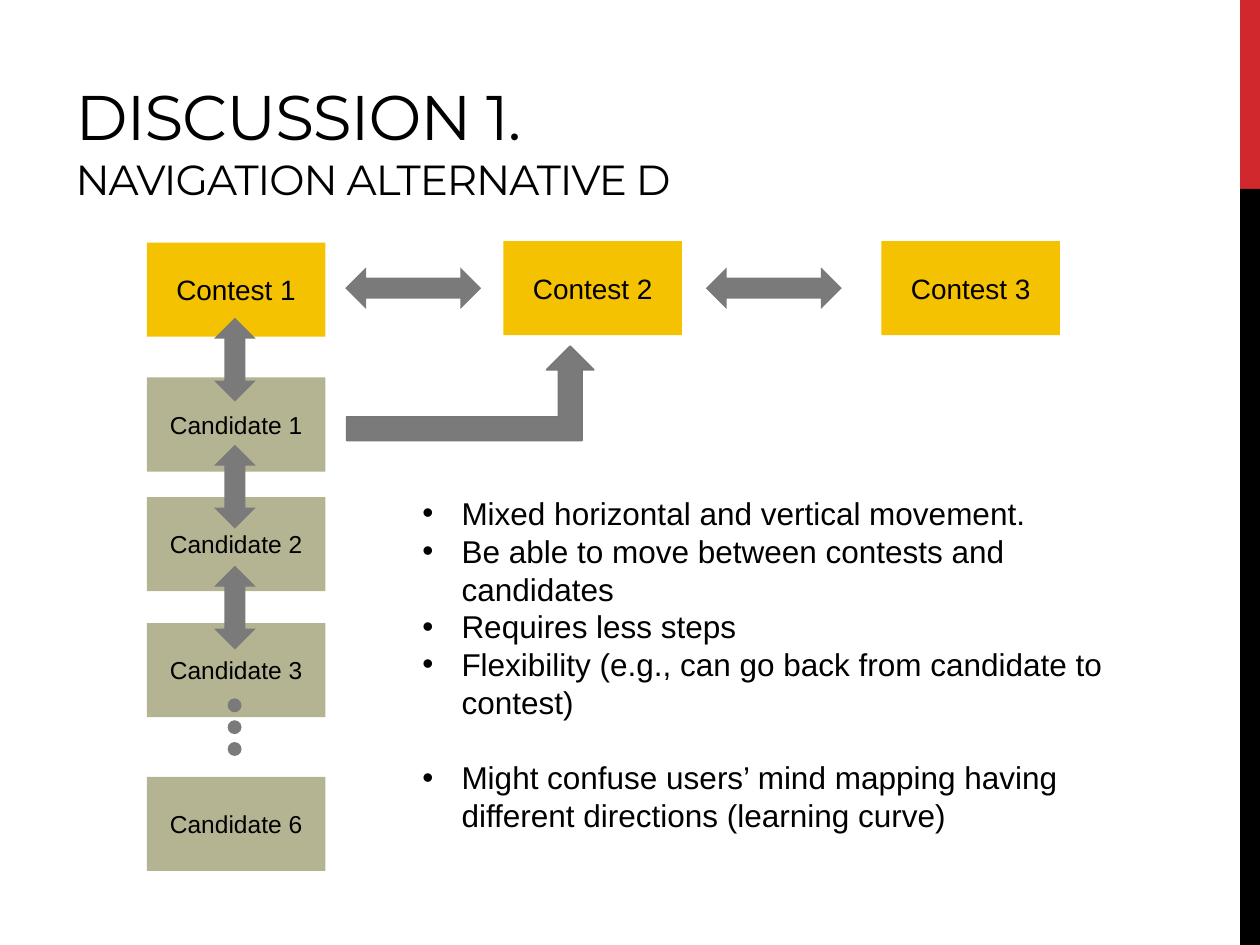
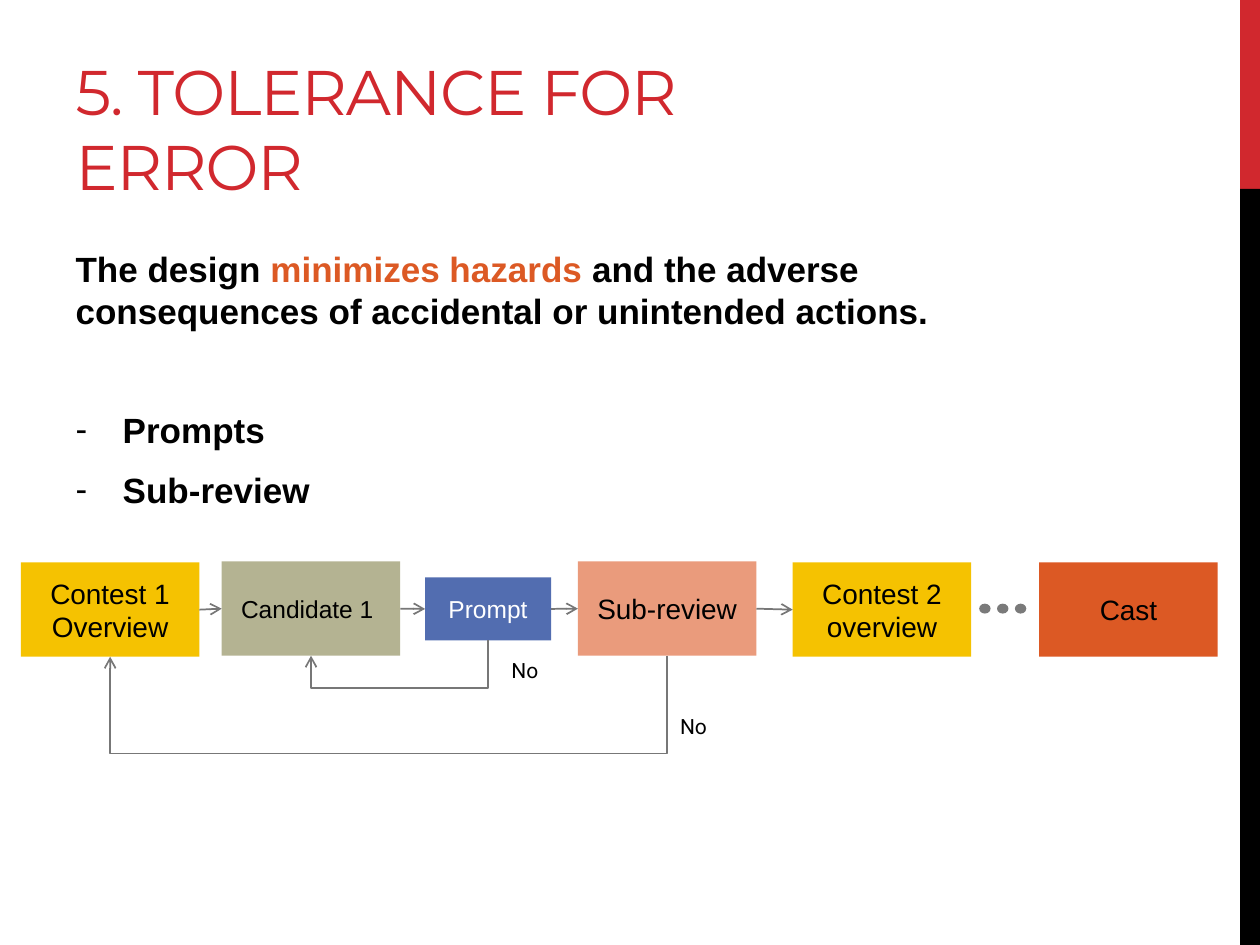
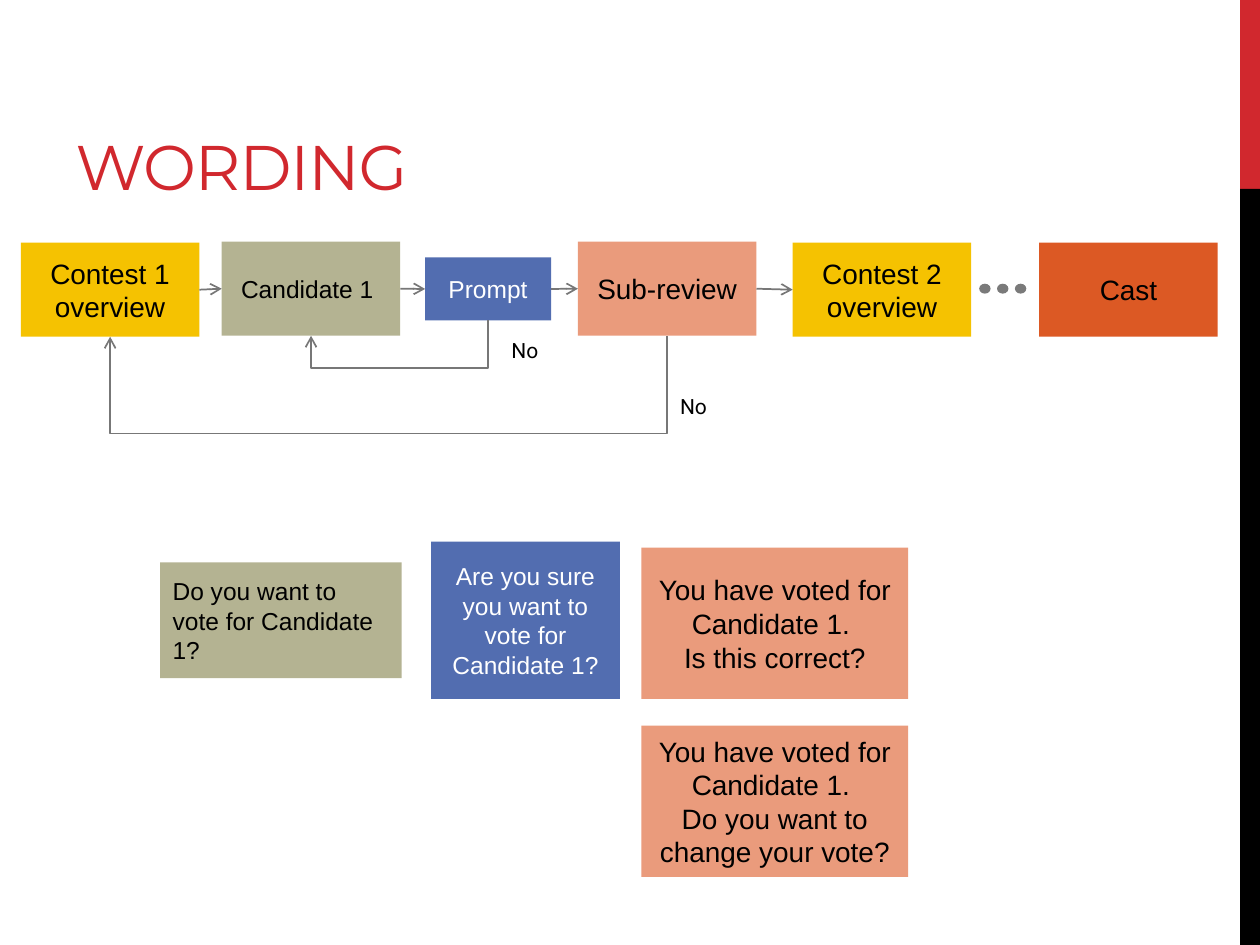
from lxml.etree import SubElement
from pptx import Presentation
from pptx.dml.color import RGBColor
from pptx.enum.shapes import MSO_CONNECTOR, MSO_SHAPE
from pptx.enum.text import MSO_ANCHOR, MSO_AUTO_SIZE, PP_ALIGN
from pptx.oxml.ns import qn
from pptx.util import Cm, Pt

COLORS = {
    "red": "D1282E",
    "black": "000000",
    "white": "FFFFFF",
    "contest": "F5C201",
    "candidate": "B4B392",
    "prompt": "526DB0",
    "review": "EA9B7C",
    "cast": "DC5924",
    "arrow": "7A7A7A",
    "line": "777777",
}
BOX_WIDTH, BOX_HEIGHT = 3.6, 1.9
LAYOUT_CONTENT, LAYOUT_TITLE = 1, 5


def color(name):
    return RGBColor.from_string(COLORS[name])


def style_font(font, size, name="Arial", ink="black", bold=False):
    font.name = name
    font.size = Pt(size)
    font.bold = bold
    font.color.rgb = color(ink)


def add_solid(page, kind, left, top, width, height, fill):
    shape = page.shapes.add_shape(kind, Cm(left), Cm(top), Cm(width), Cm(height))
    shape.shadow.inherit = False
    shape.fill.solid()
    shape.fill.fore_color.rgb = color(fill)
    shape.line.fill.background()
    return shape


def add_box(page, text, left, top, fill, width=BOX_WIDTH, height=BOX_HEIGHT,
            size=16, ink="black", align=PP_ALIGN.CENTER, inset=0.25):
    box = add_solid(page, MSO_SHAPE.RECTANGLE, left, top, width, height, fill)
    frame = box.text_frame
    frame.word_wrap = True
    frame.vertical_anchor = MSO_ANCHOR.MIDDLE
    frame.margin_left = Cm(inset)
    frame.text = text
    for para in frame.paragraphs:
        para.alignment = align
        style_font(para.font, size, ink=ink)
    return box


def add_dots(page, left, top, width, height, step_x=0, step_y=0):
    for index in range(3):
        add_solid(page, MSO_SHAPE.OVAL, left + index * step_x, top + index * step_y,
                  width, height, "arrow")


def add_double_arrow(page, left, top, width, rotation=0):
    arrow = add_solid(page, MSO_SHAPE.LEFT_RIGHT_ARROW, left, top, width, 0.84, "arrow")
    arrow.rotation = rotation


def finish_arrow(connector):
    connector.line.color.rgb = color("line")
    connector.line.width = Pt(1)
    properties = connector._element.spPr
    SubElement(properties.find(qn("a:ln")), qn("a:tailEnd"), type="arrow")
    SubElement(properties, qn("a:effectLst"))


def link_boxes(page, source, target):
    connector = page.shapes.add_connector(MSO_CONNECTOR.STRAIGHT, 0, 0, 0, 0)
    connector.begin_connect(source, 3)
    connector.end_connect(target, 1)
    finish_arrow(connector)


def add_return_arrow(page, start, end, turn):
    drop, reach = end[1] - start[1], start[0] - end[0]
    center_x, center_y = (start[0] + end[0]) / 2, (start[1] + end[1]) / 2
    left, top = center_x - drop / 2, center_y - reach / 2
    connector = page.shapes.add_connector(
        MSO_CONNECTOR.ELBOW, Cm(left), Cm(top), Cm(left + drop), Cm(top + reach))
    properties = connector._element.spPr
    properties.find(qn("a:xfrm")).set("rot", "5400000")
    guides = properties.find(qn("a:prstGeom")).get_or_add_avLst()
    bend = round((turn - start[1]) / drop * 100000)
    SubElement(guides, qn("a:gd"), name="adj1", fmla=f"val {bend}")
    finish_arrow(connector)


def add_label(page, text, left, top):
    label = page.shapes.add_textbox(Cm(left), Cm(top), Cm(1.07), Cm(0.76))
    label.text_frame.word_wrap = False
    para = label.text_frame.paragraphs[0]
    para.text = text
    style_font(para.font, 12, name="Roboto")


def add_master_bands(deck, page):
    tree = deck.slide_master.shapes.element
    for index, (top, height, fill) in enumerate([(0, 3.81, "red"), (3.81, 15.24, "black")]):
        band = add_solid(page, MSO_SHAPE.RECTANGLE, 25, top, 0.4, height, fill)
        band._element.nvSpPr.cNvPr.set("id", str(101 + index))
        tree.append(band._element)


def place_frame(holder, left, top, width, height, anchor):
    holder.left, holder.top = Cm(left), Cm(top)
    holder.width, holder.height = Cm(width), Cm(height)
    frame = holder.text_frame
    frame.word_wrap = True
    frame.auto_size = MSO_AUTO_SIZE.NONE
    frame.vertical_anchor = anchor
    return frame


def set_title(page, title, subtitle=None, ink="red"):
    frame = place_frame(page.shapes.title, 1.27, 0.42, 16.09, 3.81, MSO_ANCHOR.BOTTOM)
    para = frame.paragraphs[0]
    para.alignment = PP_ALIGN.LEFT
    style_font(para.font, 36, name="Montserrat", ink=ink)
    spans = [(title, 36)]
    if subtitle:
        spans.append((subtitle, 24))
    for index, (text, size) in enumerate(spans):
        if index:
            para.add_line_break()
        span = para.add_run()
        span.text = text
        span.font.size = Pt(size)
        span._r.get_or_add_rPr().set("spc", "-60")


def add_paragraph(frame, spans, size, bullet=None, indent=0, before=0, after=0, bold=False):
    para = frame.paragraphs[0]
    if para.runs:
        para = frame.add_paragraph()
    properties = para._p.get_or_add_pPr()
    properties.set("marL", str(Cm(indent)))
    properties.set("indent", str(-Cm(indent)))
    if bullet:
        SubElement(properties, qn("a:buFont"), typeface="Arial")
        SubElement(properties, qn("a:buChar"), char=bullet)
    else:
        SubElement(properties, qn("a:buNone"))
    para.space_before = Pt(before)
    para.space_after = Pt(after)
    style_font(para.font, size, bold=bold)
    for text, ink in spans:
        span = para.add_run()
        span.text = text
        if ink:
            span.font.color.rgb = color(ink)


def add_navigation(page, left, top):
    for number, (x, y) in enumerate([(0, 0.03), (7.19, 0), (14.81, 0)], 1):
        add_box(page, f"Contest {number}", left + x, top + y, "contest")
    for number, y in [(1, 2.75), (2, 5.16), (3, 7.7), (6, 10.8)]:
        add_box(page, f"Candidate {number}", left, top + y, "candidate", size=14)
    for x in (4, 11.27):
        add_double_arrow(page, left + x, top + 0.53, 2.74)
    for y in (1.97, 4.53, 6.97):
        add_double_arrow(page, left + 0.93, top + y, 1.69, rotation=90)
    add_dots(page, left + 1.63, top + 9.22, 0.28, 0.28, step_y=0.44)
    turn = add_solid(page, MSO_SHAPE.BENT_UP_ARROW, left + 4.03, top + 2.12, 4.98, 1.9, "arrow")
    turn.line.color.rgb = color("line")
    turn.line.width = Pt(1)


def add_voting_flow(page, left, top, first_text):
    first = add_box(page, first_text, left, top + 0.02, "contest")
    candidate = add_box(page, "Candidate 1", left + 4.05, top, "candidate",
                        size=14, align=PP_ALIGN.LEFT, inset=0.39)
    prompt = add_box(page, "Prompt", left + 8.15, top + 0.32, "prompt",
                     width=2.54, height=1.27, size=14, ink="white")
    review = add_box(page, "Sub-review", left + 11.23, top, "review")
    second = add_box(page, "Contest 2\noverview", left + 15.56, top + 0.02, "contest")
    add_box(page, "Cast", left + 20.53, top + 0.02, "cast")
    add_dots(page, left + 19.32, top + 0.85, 0.23, 0.2, step_x=0.36)
    steps = [first, candidate, prompt, review, second]
    for source, target in zip(steps, steps[1:]):
        link_boxes(page, source, target)
    add_return_arrow(page, (left + 9.42, top + 1.59), (left + 5.85, top + 1.9), top + 2.55)
    add_return_arrow(page, (left + 13.03, top + 1.9), (left + 1.8, top + 1.92), top + 3.87)
    add_label(page, "No", left + 9.64, top + 1.81)
    add_label(page, "No", left + 13.04, top + 2.93)


def add_wording_samples(page, left, top):
    add_box(page, "Do you want to vote for Candidate 1?", left, top + 0.42, "candidate",
            width=4.87, height=2.33, size=14, align=PP_ALIGN.LEFT)
    add_box(page, "Are you sure you want to vote for Candidate 1?", left + 5.46, top,
            "prompt", width=3.81, height=3.17, size=14, ink="white")
    questions = ["Is this correct?", "Do you want to change your vote?"]
    for index, question in enumerate(questions):
        add_box(page, f"You have voted for Candidate 1. \n{question}", left + 9.7,
                top + 0.12 + index * 3.59, "review", width=5.38, height=3.05)


def build_navigation_page(page):
    set_title(page, "DISCUSSION 1.", "NAVIGATION ALTERNATIVE D", ink="black")
    add_navigation(page, 2.96, 4.86)
    frame = place_frame(page.placeholders[1], 8.26, 9.83, 15.04, 7.95, MSO_ANCHOR.TOP)
    points = [
        ("Mixed horizontal and vertical movement.", 0),
        ("Be able to move between contests and candidates", 0),
        ("Requires less steps", 0),
        ("Flexibility (e.g., can go back from candidate to contest)", 0),
        ("Might confuse users’ mind mapping having different directions (learning curve)", 21.5),
    ]
    for text, before in points:
        add_paragraph(frame, [(text, None)], 18, bullet="•", indent=0.79, before=before)


def build_tolerance_page(page):
    set_title(page, "5. TOLERANCE FOR ERROR")
    frame = place_frame(page.placeholders[1], 1.27, 4.87, 21.17, 12.14, MSO_ANCHOR.TOP)
    statement = [
        ("The design ", None),
        ("minimizes hazards ", "cast"),
        ("and the adverse consequences of accidental or unintended actions.", None),
    ]
    add_paragraph(frame, statement, 20, after=6, bold=True)
    for text, before in [("Prompts", 38), ("Sub-review", 4)]:
        add_paragraph(frame, [(text, None)], 20, bullet="-", indent=0.95,
                      before=before, after=6, bold=True)
    add_voting_flow(page, 0.42, 11.32, "Contest 1\nOverview")


def build_wording_page(page):
    set_title(page, "WORDING")
    add_voting_flow(page, 0.42, 4.87, "Contest 1\noverview")
    add_wording_samples(page, 3.23, 10.92)


def main():
    deck = Presentation()
    deck.slide_width, deck.slide_height = Cm(25.4), Cm(19.05)
    builders = [
        (LAYOUT_CONTENT, build_navigation_page),
        (LAYOUT_CONTENT, build_tolerance_page),
        (LAYOUT_TITLE, build_wording_page),
    ]
    for layout, build in builders:
        build(deck.slides.add_slide(deck.slide_layouts[layout]))
    add_master_bands(deck, deck.slides[0])
    deck.save("out.pptx")


if __name__ == "__main__":
    main()
